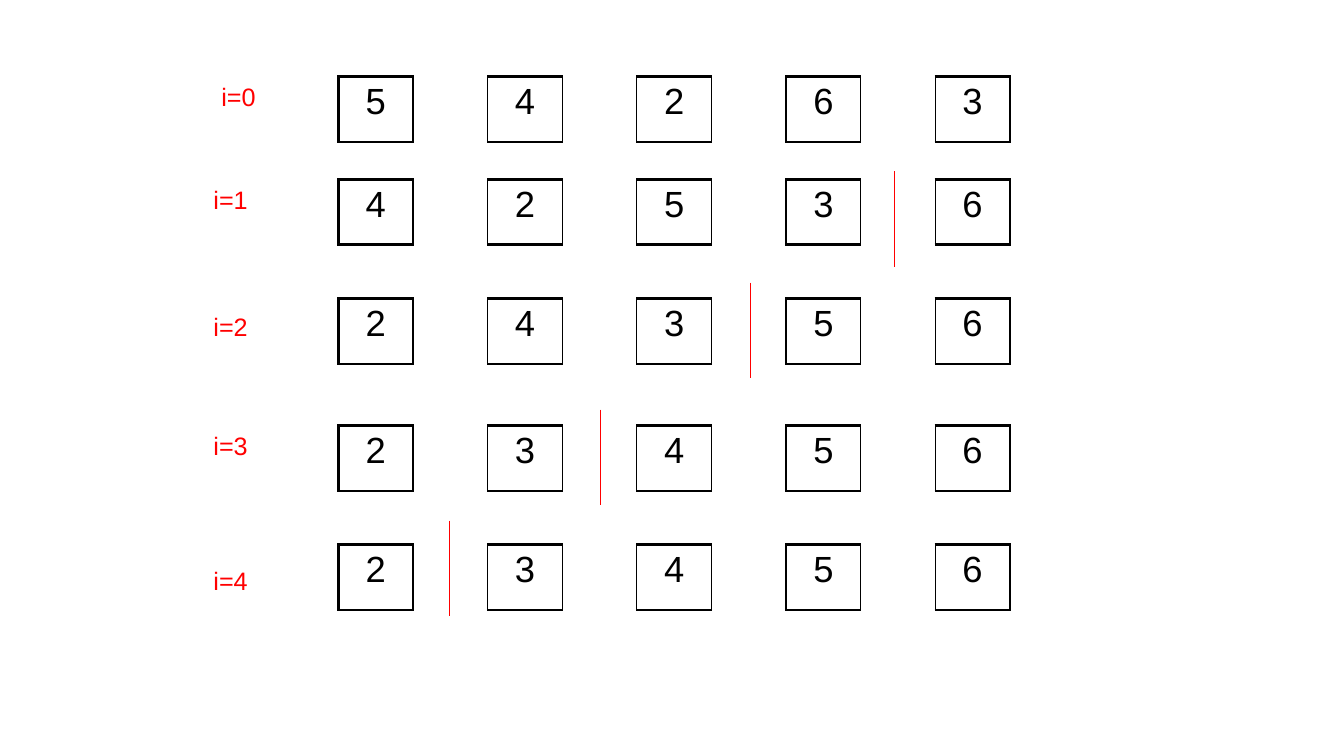
from dataclasses import dataclass
from typing import Optional

from lxml import etree
from pptx import Presentation
from pptx.dml.color import RGBColor
from pptx.enum.shapes import MSO_CONNECTOR
from pptx.enum.text import MSO_AUTO_SIZE, PP_ALIGN
from pptx.oxml.ns import qn
from pptx.util import Cm, Pt

STRAIGHT = MSO_CONNECTOR.STRAIGHT
CENTER = PP_ALIGN.CENTER
GROW_SHAPE = MSO_AUTO_SIZE.SHAPE_TO_FIT_TEXT

COLORS = {"number": "000000", "border": "000000", "pass": "FF0000"}
FONT = "Arial"
PLAIN_TABLE_STYLE = "{2D5ABB26-0587-4C30-8999-92F81FD0307C}"

ARRAY_LEFT, CELL_WIDTH, CELL_HEIGHT = 8.53, 1.88, 1.65
LABEL_WIDTH, LABEL_HEIGHT = 1.8, 1.02
DIVIDER_LENGTH = 2.4
THICK, THIN = 2.25, 1


@dataclass(frozen=True)
class Divider:
    x: float
    top: float


@dataclass(frozen=True)
class SortPass:
    numbers: tuple[int, ...]
    top: float
    label_left: float
    label_top: float
    divider: Optional[Divider] = None


SORT_PASSES = (
    SortPass((5, 4, 2, 6, 3), 1.93, 5.33, 1.93),
    SortPass((4, 2, 5, 3, 6), 4.52, 5.13, 4.52, Divider(22.53, 4.32)),
    SortPass((2, 4, 3, 5, 6), 7.52, 5.13, 7.72, Divider(18.92, 7.12)),
    SortPass((2, 3, 4, 5, 6), 10.72, 5.13, 10.72, Divider(15.14, 10.32)),
    SortPass((2, 3, 4, 5, 6), 13.72, 5.13, 14.12, Divider(11.33, 13.12)),
)


def style_text(text_frame, size: float, color: str, space_percent: int) -> None:
    """Format the only paragraph, with space before it relative to the font."""
    paragraph = text_frame.paragraphs[0]
    font = paragraph.runs[0].font
    font.name, font.size = FONT, Pt(size)
    font.color.rgb = RGBColor.from_string(COLORS[color])
    spacing = etree.Element(qn("a:spcBef"))
    etree.SubElement(spacing, qn("a:spcPct"), val=str(space_percent * 1000))
    paragraph._p.get_or_add_pPr().insert(0, spacing)


def set_borders(cell, widths: dict[str, float]) -> None:
    """Draw the given sides (L, R, T, B) and leave the others without a line."""
    properties = cell._tc.get_or_add_tcPr()
    for position, side in enumerate("LRTB"):
        width = widths.get(side, 0)
        border = etree.Element(qn(f"a:ln{side}"), w=str(Pt(width)))
        if width:
            fill = etree.SubElement(border, qn("a:solidFill"))
            etree.SubElement(fill, qn("a:srgbClr"), val=COLORS["border"])
        else:
            etree.SubElement(border, qn("a:noFill"))
        properties.insert(position, border)


def add_array(slide, sort_pass: SortPass) -> None:
    """Number cells alternate with open gap cells."""
    columns = 2 * len(sort_pass.numbers) - 1
    table = slide.shapes.add_table(
        1, columns, Cm(ARRAY_LEFT), Cm(sort_pass.top),
        Cm(columns * CELL_WIDTH), Cm(CELL_HEIGHT),
    ).table
    table.first_row = table.horz_banding = False
    table._tbl.tblPr.find(qn("a:tableStyleId")).text = PLAIN_TABLE_STYLE
    for index in range(columns):
        table.columns[index].width = Cm(CELL_WIDTH)
        cell = table.cell(0, index)
        cell.fill.background()
        borders = {"L": THIN, "R": THIN}
        if index % 2 == 0:
            borders.update(T=THICK, B=THICK)
            if index == 0:
                borders["L"] = THICK
            if index == columns - 1:
                borders["R"] = THICK
            cell.text_frame.text = str(sort_pass.numbers[index // 2])
            cell.text_frame.paragraphs[0].alignment = CENTER
            style_text(cell.text_frame, 26, "number", 20)
        set_borders(cell, borders)


def add_label(slide, text: str, left: float, top: float) -> None:
    frame = slide.shapes.add_textbox(
        Cm(left), Cm(top), Cm(LABEL_WIDTH), Cm(LABEL_HEIGHT)
    ).text_frame
    frame.word_wrap = True
    frame.auto_size = GROW_SHAPE
    frame.text = text
    style_text(frame, 18, "pass", 50)


def add_divider(slide, divider: Divider) -> None:
    """Separate the unsorted numbers from the sorted ones."""
    line = slide.shapes.add_connector(
        STRAIGHT, Cm(divider.x), Cm(divider.top),
        Cm(divider.x), Cm(divider.top + DIVIDER_LENGTH),
    )
    line.line.color.rgb = RGBColor.from_string(COLORS["pass"])
    line.line.width = Pt(0.75)
    etree.SubElement(line._element.spPr, qn("a:effectLst"))


def main() -> None:
    presentation = Presentation()
    presentation.slide_width, presentation.slide_height = Cm(33.87), Cm(19.05)
    slide = presentation.slides.add_slide(presentation.slide_layouts[6])
    for number, sort_pass in enumerate(SORT_PASSES):
        add_array(slide, sort_pass)
        add_label(slide, f"i={number}", sort_pass.label_left, sort_pass.label_top)
        if sort_pass.divider:
            add_divider(slide, sort_pass.divider)
    presentation.save("out.pptx")


if __name__ == "__main__":
    main()
